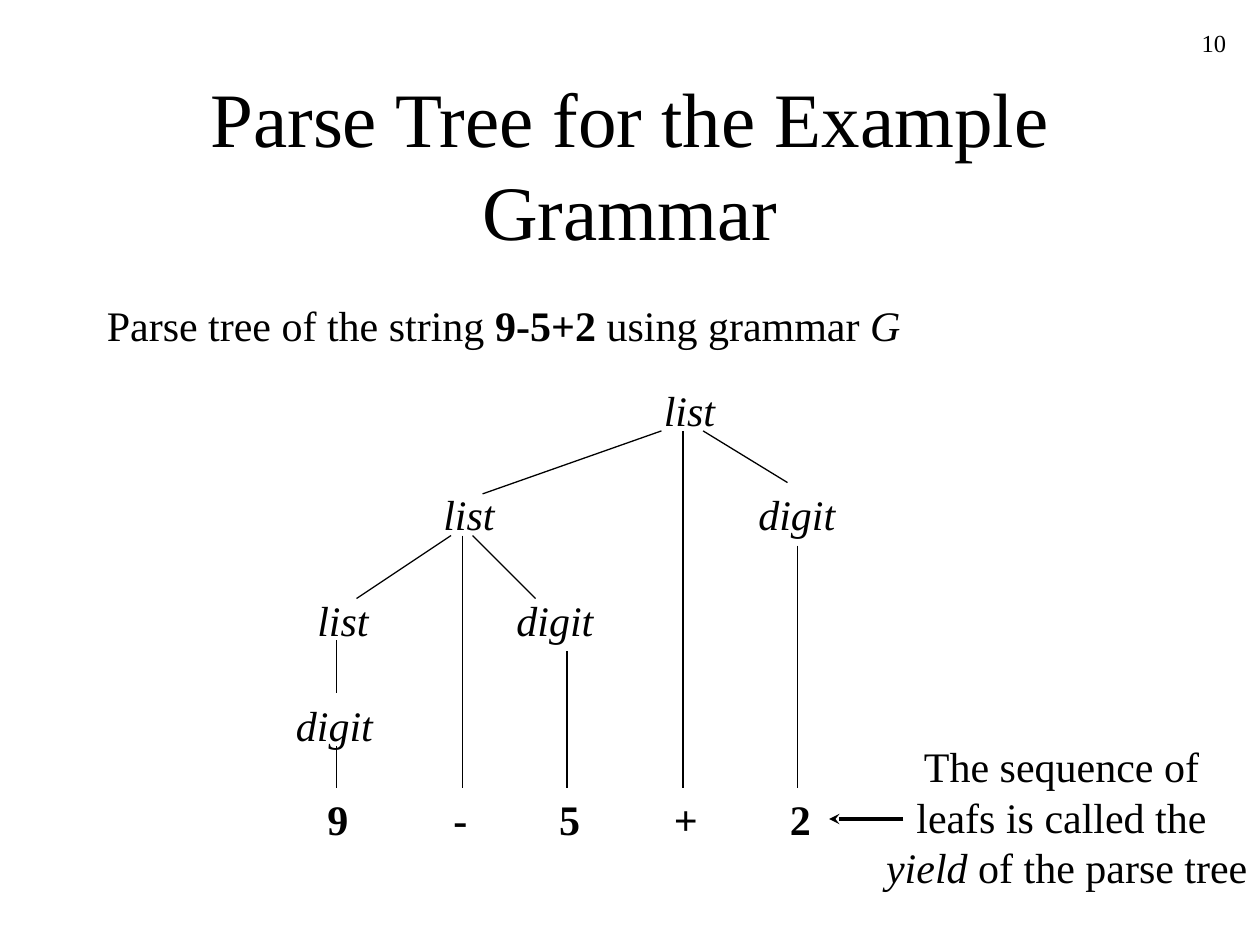
from lxml import etree
from pptx import Presentation
from pptx.dml.color import RGBColor
from pptx.enum.shapes import MSO_CONNECTOR
from pptx.enum.text import MSO_ANCHOR, MSO_AUTO_SIZE, PP_ALIGN
from pptx.oxml.ns import qn
from pptx.util import Inches, Pt

LEFT, CENTER, RIGHT = PP_ALIGN.LEFT, PP_ALIGN.CENTER, PP_ALIGN.RIGHT
TOP, MIDDLE = MSO_ANCHOR.TOP, MSO_ANCHOR.MIDDLE
FIT_SHAPE, FIXED = MSO_AUTO_SIZE.SHAPE_TO_FIT_TEXT, MSO_AUTO_SIZE.NONE
STRAIGHT = MSO_CONNECTOR.STRAIGHT

LABEL_HEIGHT = 0.5
LEAF_TOP = 6.25
LEAVES = [("9", 2.5, 0.36), ("-", 3.5, 0.31), ("5", 4.34, 0.36),
          ("+", 5.25, 0.39), ("2", 6.17, 0.36)]
SYMBOL_WIDTHS = {"list": 0.61, "digit": 0.81}
SYMBOLS = [("list", 5.17, 3), ("digit", 5.92, 3.83), ("list", 3.42, 3.83),
           ("list", 2.42, 4.67), ("digit", 4, 4.67), ("digit", 2.25, 5.5)]
BRANCHES = [((5.25, 3.42), (3.83, 3.92)), ((5.58, 3.42), (6.25, 3.83)),
            ((3.58, 4.25), (2.83, 4.75)), ((3.75, 4.25), (4.25, 4.75))]
STEMS = [(3.67, 4.25, LEAF_TOP), (5.42, 3.42, LEAF_TOP), (6.33, 4.33, LEAF_TOP),
         (2.67, 5.08, 5.5), (2.67, 5.92, LEAF_TOP), (4.5, 5.17, LEAF_TOP)]


def color(value):
    return RGBColor.from_string(value)


def add_text(paragraph, text, *, font, size, ink, bold=False, italic=False):
    for index, line in enumerate(text.split("\n")):
        if index:
            paragraph.add_line_break()
        run = paragraph.add_run()
        run.text = line
        run.font.name = font
        run.font.size = Pt(size)
        run.font.color.rgb = color(ink)
        run.font.bold = bold
        run.font.italic = italic


class TreeSlide:
    font = "Times New Roman"
    ink = "000000"
    paper = "FFFFFF"

    def __init__(self, slide):
        self.slide = slide
        fill = slide.background.fill
        fill.solid()
        fill.fore_color.rgb = color(self.paper)

    def label(self, left, top, width, height, *parts, size=24, align=LEFT,
              anchor=TOP, wrap=False):
        box = self.slide.shapes.add_textbox(
            Inches(left), Inches(top), Inches(width), Inches(height))
        frame = box.text_frame
        frame.word_wrap = wrap
        frame.auto_size = FIXED if wrap else FIT_SHAPE
        frame.vertical_anchor = anchor
        paragraph = frame.paragraphs[0]
        paragraph.alignment = align
        for text, style in parts:
            add_text(paragraph, text, font=self.font, size=size, ink=self.ink, **style)

    def line(self, start, end, width=0.75, arrow=False):
        connector = self.slide.shapes.add_connector(
            STRAIGHT, *(Inches(value) for value in (*start, *end)))
        connector.line.color.rgb = color(self.ink)
        connector.line.width = Pt(width)
        if arrow:
            etree.SubElement(connector.line._get_or_add_ln(), qn("a:tailEnd"), type="stealth")
        etree.SubElement(connector._element.spPr, qn("a:effectLst"))


def main():
    presentation = Presentation()
    presentation.slide_width = Inches(10)
    presentation.slide_height = Inches(7.5)
    tree = TreeSlide(presentation.slides.add_slide(presentation.slide_layouts[6]))
    plain, bold, italic = {}, {"bold": True}, {"italic": True}

    tree.label(0.75, 0.67, 8.5, 1.25, ("Parse Tree for the Example Grammar", plain),
               size=44, align=CENTER, anchor=MIDDLE, wrap=True)
    tree.label(0.75, 2.33, 6.5, LABEL_HEIGHT, ("Parse tree of the string ", plain),
               ("9-5+2", bold), (" using grammar ", plain), ("G", italic))

    for symbol, left, top in SYMBOLS:
        tree.label(left, top, SYMBOL_WIDTHS[symbol], LABEL_HEIGHT, (symbol, italic))
    for leaf, left, width in LEAVES:
        tree.label(left, LEAF_TOP, width, LABEL_HEIGHT, (leaf, bold))
    for parent, child in BRANCHES:
        tree.line(parent, child)
    for x, top, bottom in STEMS:
        tree.line((x, top), (x, bottom))

    tree.label(6.85, 5.83, 3.15, 1.3,
               ("The sequence of\nleafs is called the\n ", plain),
               ("yield", italic), (" of the parse tree", plain), align=CENTER)
    tree.line((7.17, 6.5), (6.58, 6.5), width=2, arrow=True)
    tree.label(7.75, 0.17, 2.08, LABEL_HEIGHT, ("10", plain),
               size=14, align=RIGHT, wrap=True)

    presentation.save("out.pptx")


if __name__ == "__main__":
    main()
